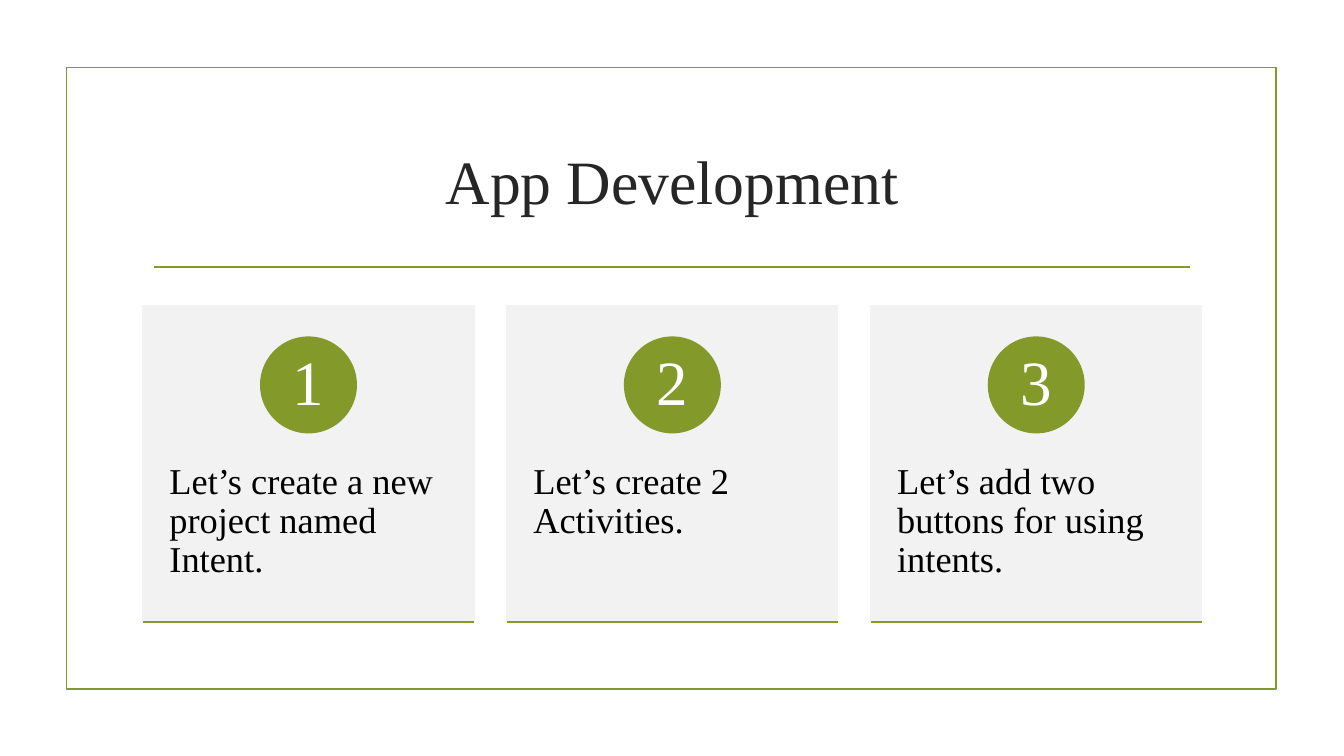
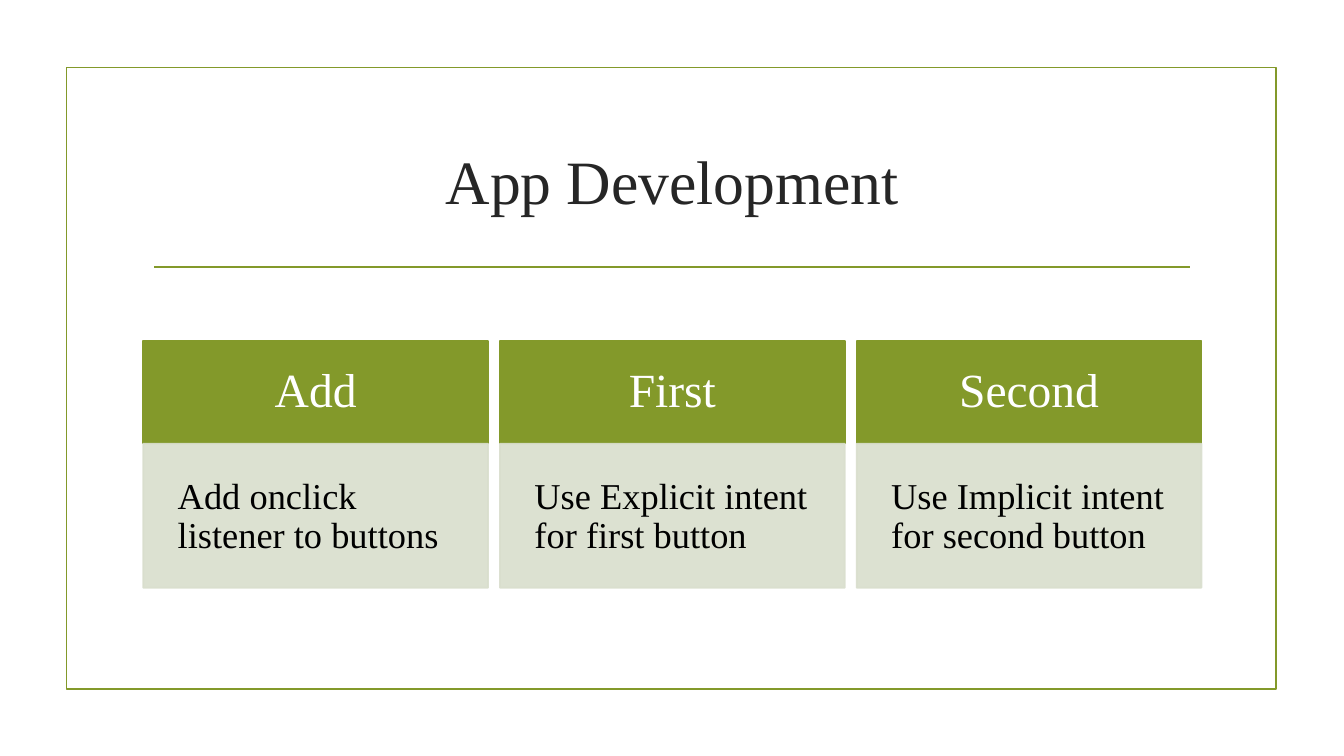
from lxml.etree import SubElement as Sub
from pptx import Presentation
from pptx.dml.color import RGBColor
from pptx.enum.shapes import MSO_CONNECTOR as Link, MSO_SHAPE as Form
from pptx.enum.text import MSO_ANCHOR as Anchor, PP_ALIGN as Align
from pptx.oxml.ns import qn
from pptx.util import Cm, Pt

GREEN = RGBColor(0x83, 0x99, 0x2A)
PALE = RGBColor(0xD9, 0xDE, 0xCD)
GREY = RGBColor(0xF2, 0xF2, 0xF2)
INK = RGBColor(0x26, 0x26, 0x26)
BLACK = RGBColor(0, 0, 0)
WHITE = RGBColor(0xFF, 0xFF, 0xFF)
FONT = "Times New Roman"
EDGE = Pt(1.25)
LEFT, WIDE = 3.61, 26.67

STEPS = [
    "Let’s create a new project named Intent.",
    "Let’s create 2 Activities.",
    "Let’s add two buttons for using intents.",
]
TASKS = [
    ("Add", "Add onclick listener to buttons"),
    ("First", "Use Explicit intent for first button"),
    ("Second", "Use Implicit intent for second button"),
]


def add_box(slide, form, x, y, w, h, fill=None, line=GREEN):
    box = slide.shapes.add_shape(form, Cm(x), Cm(y), Cm(w), Cm(h))
    box.shadow.inherit = False
    if fill is None:
        box.fill.background()
    else:
        box.fill.solid()
        box.fill.fore_color.rgb = fill
    box.line.color.rgb = line
    box.line.width = EDGE
    return box


def add_rule(slide, x, y, w):
    rule = slide.shapes.add_connector(
        Link.STRAIGHT, Cm(x), Cm(y), Cm(x + w), Cm(y))
    rule.line.color.rgb = GREEN
    rule.line.width = EDGE
    Sub(rule._element.spPr, qn("a:effectLst"))


def set_text(shape, text, size, color, align, anchor, pads=None, lead=0.9):
    frame = shape.text_frame
    frame.text = text
    frame.word_wrap = True
    frame.vertical_anchor = anchor
    if pads:
        side, top, base = pads
        frame.margin_left = frame.margin_right = Cm(side)
        frame.margin_top, frame.margin_bottom = Cm(top), Cm(base)
    para = frame.paragraphs[0]
    para.alignment = align
    para.line_spacing = lead
    font = para.runs[0].font
    font.name, font.size, font.color.rgb = FONT, Pt(size), color


def set_alpha(shape, share):
    for tint in shape._element.spPr.iter(qn("a:srgbClr")):
        Sub(tint, qn("a:alpha")).set("val", str(share * 1000))


def add_base(deck, text):
    slide = deck.slides.add_slide(deck.slide_layouts[5])
    add_box(slide, Form.RECTANGLE, 1.68, 1.7, 30.48, 15.67)
    add_rule(slide, 3.89, 6.73, 26.11)
    title = slide.shapes.title
    title.left, title.top = Cm(LEFT), Cm(2.72)
    title.width, title.height = Cm(WIDE), Cm(3.63)
    set_text(title, text, 44, INK, Align.CENTER, Anchor.MIDDLE, lead=1.0)
    return slide


def add_card(slide, x, y, w, h, mark, text):
    panel = add_box(slide, Form.RECTANGLE, x, y, w, h, GREY, GREY)
    set_text(panel, text, 26, BLACK, Align.LEFT, Anchor.TOP, (0.66, 3.96, 0.9))
    size = 2.4
    disc = add_box(slide, Form.OVAL, x + (w - size) / 2, y + 0.8,
                   size, size, GREEN)
    set_text(disc, mark, 45, WHITE, Align.CENTER, Anchor.MIDDLE,
             (0.18, 0.03, 0.03))
    add_rule(slide, x, y + h, w)


def add_task(slide, x, y, w, h, name, text):
    top = 2.59
    head = add_box(slide, Form.RECTANGLE, x, y, w, top, GREEN)
    set_text(head, name, 34, WHITE, Align.CENTER, Anchor.MIDDLE,
             (0.69, 0.69, 0.69))
    body = add_box(slide, Form.RECTANGLE, x, y + top, w, h - top, PALE, PALE)
    set_alpha(body, 90)
    set_text(body, text, 26, BLACK, Align.LEFT, Anchor.TOP, (0.87, 0.87, 0.87))


def add_row(slide, draw, items, y, w, h):
    pitch = (WIDE - w) / (len(items) - 1)
    for pos, (head, text) in enumerate(items):
        draw(slide, LEFT + pos * pitch, y, w, h, head, text)


def main():
    deck = Presentation()
    deck.slide_width, deck.slide_height = Cm(33.87), Cm(19.05)
    cards = [(str(num), text) for num, text in enumerate(STEPS, 1)]
    add_row(add_base(deck, "App Development"), add_card, cards, 7.7, 8.33, 7.98)
    add_row(add_base(deck, "App Development"), add_task, TASKS, 8.59, 8.69, 6.22)
    deck.save("out.pptx")


if __name__ == "__main__":
    main()
